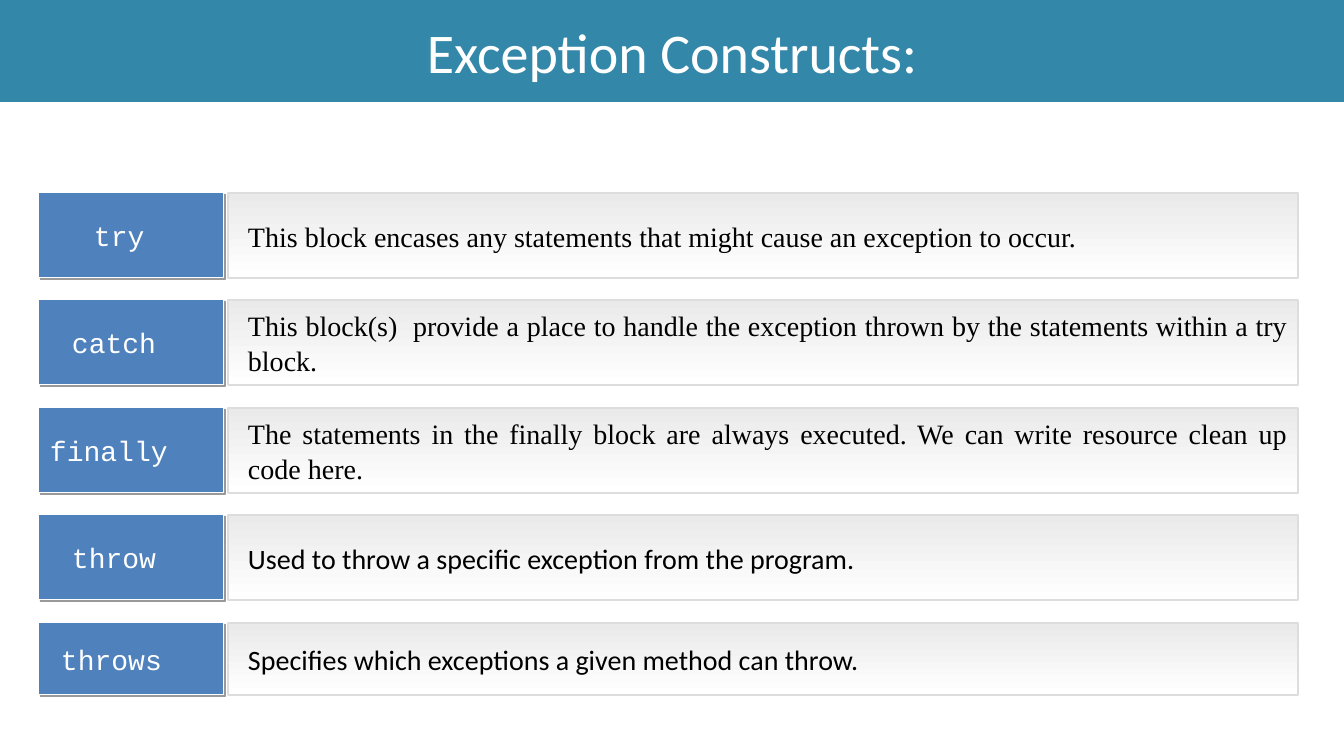
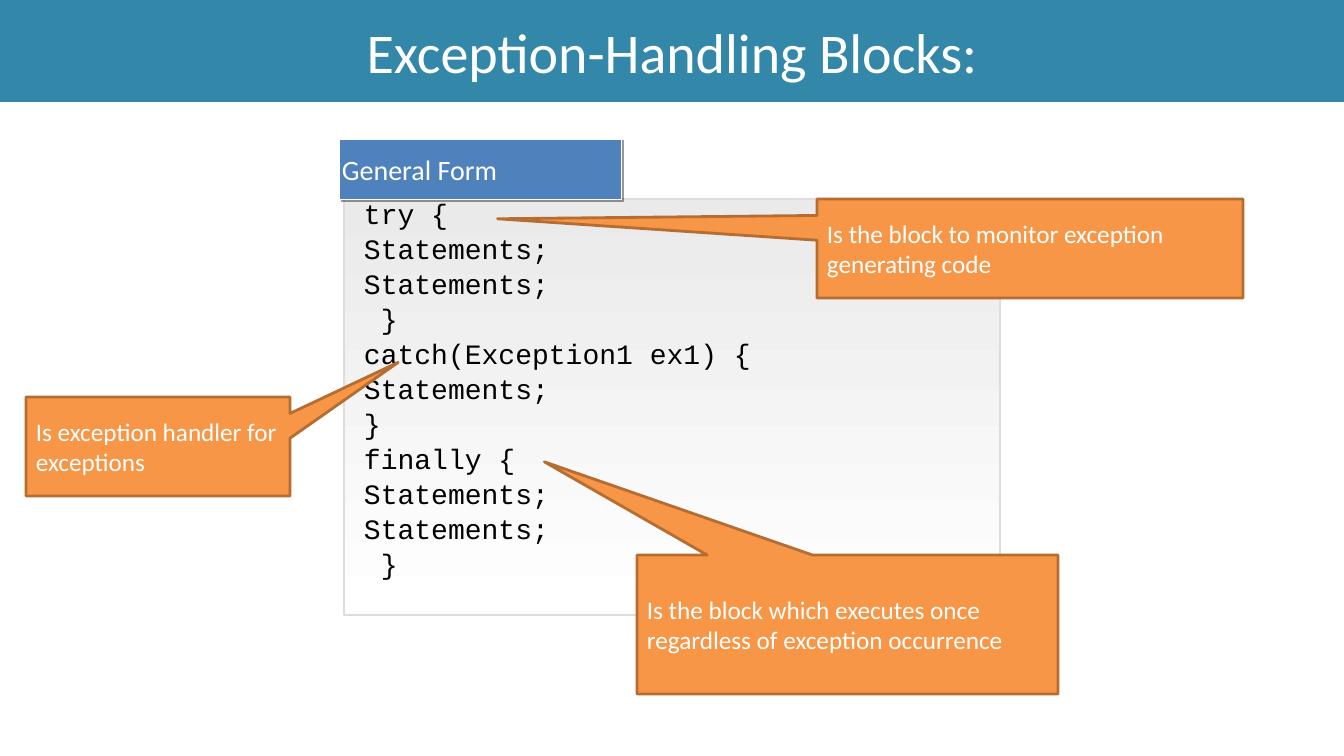
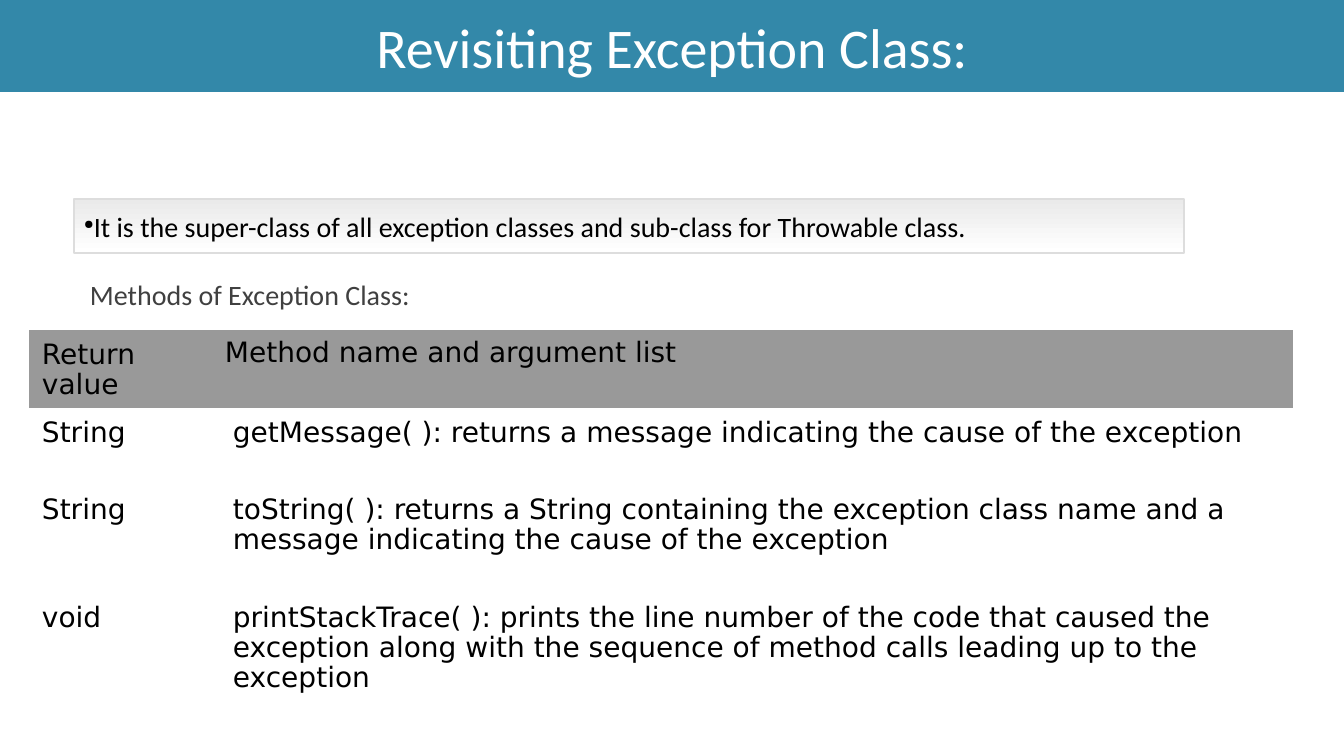
from lxml import etree
from pptx import Presentation
from pptx import util as u
from pptx.dml.color import RGBColor
from pptx.enum import shapes, text
from pptx.oxml import parse_xml
from pptx.oxml.ns import qn

PX = 914400 / 100.8
COLOURS = {
    "band": "3388A9", "tab": "4F81BD", "callout": "F79646", "callout_edge": "B66D31",
    "panel_top": "EAEAEA", "panel_edge": "DDDDDD", "header": "999999",
    "white": "FFFFFF", "black": "000000", "grey": "404040",
}
RGB = {name: RGBColor.from_string(value) for name, value in COLOURS.items()}
SHADOW = (
    '<a:effectLst xmlns:a="http://schemas.openxmlformats.org/drawingml/2006/main">'
    '<a:outerShdw blurRad="0" dist="17780" dir="2700000" rotWithShape="0">'
    '<a:srgbClr val="000000"><a:alpha val="40000"/></a:srgbClr></a:outerShdw></a:effectLst>'
)
SIDES = ("margin_left", "margin_top", "margin_right", "margin_bottom")
RECTANGLE = shapes.MSO_SHAPE.RECTANGLE
CALLOUT = shapes.MSO_SHAPE.RECTANGULAR_CALLOUT
MIDDLE, BOTTOM = text.MSO_ANCHOR.MIDDLE, text.MSO_ANCHOR.BOTTOM
LEFT, CENTER, JUSTIFY = text.PP_ALIGN.LEFT, text.PP_ALIGN.CENTER, text.PP_ALIGN.JUSTIFY


def block(page, area, style, kind=RECTANGLE):
    """Add a shape in one of the four looks: band, tab, panel or callout."""
    box = page.shapes.add_shape(kind, *[round(n * PX) for n in area])
    box.shadow.inherit = False
    if style == "panel":
        box.fill.gradient()
        box.fill.gradient_angle = 270
        for stop, colour in zip(box.fill.gradient_stops, ("panel_top", "white")):
            stop.color.rgb = RGB[colour]
    else:
        box.fill.solid()
        box.fill.fore_color.rgb = RGB[style]
    edges = {"panel": ("panel_edge", 1), "tab": ("white", 0.75), "callout": ("callout_edge", 2)}
    if style in edges:
        colour, width = edges[style]
        box.line.color.rgb = RGB[colour]
        box.line.width = u.Pt(width)
    else:
        box.line.fill.background()
    if style == "tab":
        properties = box._element.spPr
        properties.remove(properties.find(qn("a:effectLst")))
        properties.append(parse_xml(SHADOW))
    return box


def write(frame, lines, colour="white", size=20, font="Calibri", align=LEFT, spacing=1.0, bullet=None):
    """Fill a text frame with one paragraph per line."""
    values = {"name": font, "size": u.Pt(size), "bold": False}
    for i, line in enumerate(lines):
        para = frame.add_paragraph() if i else frame.paragraphs[0]
        para.alignment = align
        para.line_spacing = spacing
        if bullet:
            properties = para._p.get_or_add_pPr()
            etree.SubElement(properties, qn("a:buSzPct"), val="45000")
            etree.SubElement(properties, qn("a:buChar"), char=bullet)
        span = para.add_run()
        span.text = line
        span.font.color.rgb = RGB[colour]
        for name, value in values.items():
            setattr(span.font, name, value)


deck = Presentation()
deck.slide_width, deck.slide_height = u.Inches(13.333), u.Inches(7.5)

# Pages with their title bands
pages = []
for title, height in (("Exception Constructs:", 102),
                      ("Exception-Handling Blocks:", 102),
                      ("Revisiting Exception Class:", 92)):
    page = deck.slides.add_slide(deck.slide_layouts[6])
    band = block(page, (0, 0, 1344, height), "band")
    band.text_frame.vertical_anchor = MIDDLE
    write(band.text_frame, [title], size=40, align=CENTER)
    pages.append(page)
constructs, blocks, methods = pages

# Slide 1: keyword tabs with their meanings
SERIF = "Times New Roman"
keywords = (
    ("try", SERIF, "This block encases any statements that might cause an exception to occur."),
    ("catch", SERIF, "This block(s)  provide a place to handle the exception thrown by the statements within a try block."),
    ("finally", SERIF, "The statements in the finally block are always executed. We can write resource clean up code here."),
    ("throw", "Calibri", "Used to throw a specific exception from the program."),
    ("throws", "Calibri", "Specifies which exceptions a given method can throw."),
)
for i, (keyword, font, meaning) in enumerate(keywords):
    top = 193 + 430 * i // 4
    height = 72 if keyword == "throws" else 85
    panel = block(constructs, (228, top, 1070, height), "panel")
    tab = block(constructs, (39, top, 185, height), "tab")
    for box, insets in ((panel, (20, 0, 10, 0)), (tab, (11 * (8 - len(keyword)), 0, 0, 0))):
        box.text_frame.vertical_anchor = MIDDLE
        for side, inset in zip(SIDES, insets):
            setattr(box.text_frame, side, round(inset * PX))
    write(panel.text_frame, [meaning], "black", font=font, align=JUSTIFY, spacing=u.Pt(25))
    write(tab.text_frame, [keyword], font="Courier New")

# Slide 2: general form of the code
code = """try {
Statements;
Statements;
 }
catch(Exception1 ex1) {
Statements;
}
finally {
Statements;
Statements;
 }""".split("\n")
listing = block(blocks, (344, 199, 656, 416), "panel")
heading = block(blocks, (340, 139, 282, 61), "tab")
for box, anchor, insets in ((listing, BOTTOM, (20, 0, 10, 35)), (heading, MIDDLE, (2, 0, 0, 0))):
    box.text_frame.vertical_anchor = anchor
    for side, inset in zip(SIDES, insets):
        setattr(box.text_frame, side, round(inset * PX))
write(listing.text_frame, code, "black", font="Courier New", align=JUSTIFY, spacing=u.Pt(25))
write(heading.text_frame, ["General Form"])

# Slide 2: callouts, each with the place its tip points to
for area, tip, note in (
    ((817, 199, 426, 99), (-1.25, -0.3), "Is the block to monitor exception generating code"),
    ((637, 555, 421, 139), (-0.72, -1.17), "Is the block which executes once regardless of exception occurrence"),
    ((26, 397, 264, 99), (0.91, -0.85), "Is exception handler for exceptions"),
):
    callout = block(blocks, area, "callout", CALLOUT)
    callout.adjustments[0], callout.adjustments[1] = tip
    callout.text_frame.vertical_anchor = MIDDLE
    write(callout.text_frame, [note], size=18)

# Slide 3: statement and subheading
statement = block(methods, (74, 199, 1110, 54), "panel")
statement.text_frame.vertical_anchor = MIDDLE
write(statement.text_frame,
      ["It is the super-class of all exception classes and sub-class for Throwable class."],
      "black", bullet="●")
subheading = methods.shapes.add_textbox(*[round(n * PX) for n in (80, 256, 1028, 61)])
subheading.text_frame.word_wrap = True
write(subheading.text_frame, ["Methods of Exception Class:"], "grey", spacing=1.5)

# Slide 3: method table
rows = (
    ("Return value", "Method name and argument list"),
    ("String", "getMessage( ): returns a message indicating the cause of the exception"),
    ("String", "toString( ): returns a String containing the exception class name and a "
               "message indicating the cause of the exception"),
    ("void", "printStackTrace( ): prints the line number of the code that caused the exception "
             "along with the sequence of method calls leading up to the exception"),
)
widths, heights = (191, 1073), (77, 77, 108, 140)
area = (29, 330, sum(widths), sum(heights))
table = methods.shapes.add_table(len(rows), len(widths), *[round(n * PX) for n in area]).table
table.first_row = table.horz_banding = False
table._tbl.tblPr.find(qn("a:tableStyleId")).text = "{2D5ABB26-0587-4C30-8999-92F81FD0307C}"
for column, width in zip(table.columns, widths):
    column.width = round(width * PX)
for r, (row, height) in enumerate(zip(rows, heights)):
    table.rows[r].height = round(height * PX)
    for c, words in enumerate(row):
        cell = table.cell(r, c)
        cell.fill.solid()
        cell.fill.fore_color.rgb = RGB["white" if r else "header"]
        insets = (5, 9, 5, 4) if (r, c) == (0, 1) else (13, 11, 13, 5)
        for side, inset in zip(SIDES, insets):
            setattr(cell, side, round(inset * PX))
        write(cell.text_frame, [words], "black", font="DejaVu Sans", spacing=0.92)

deck.save("out.pptx")
